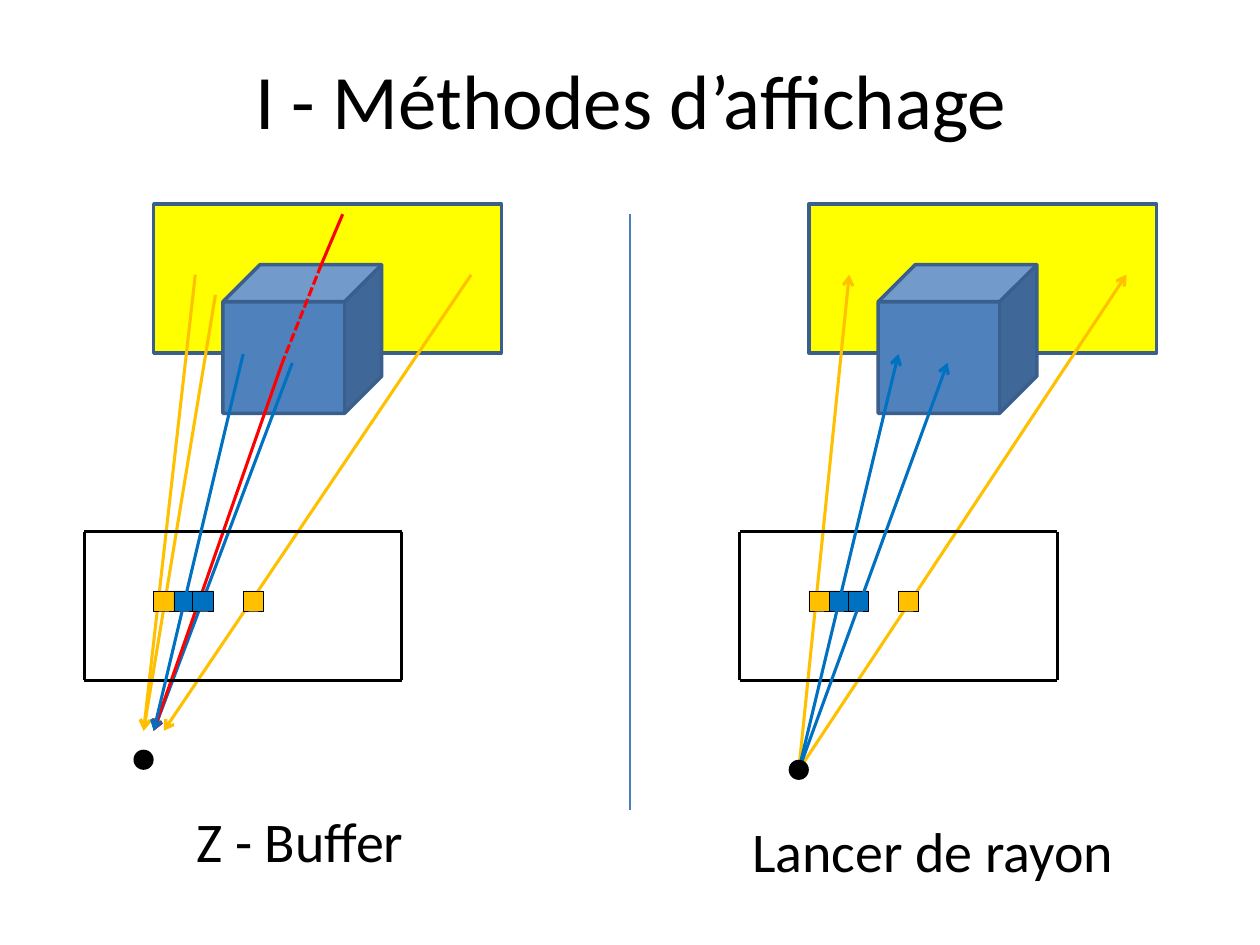
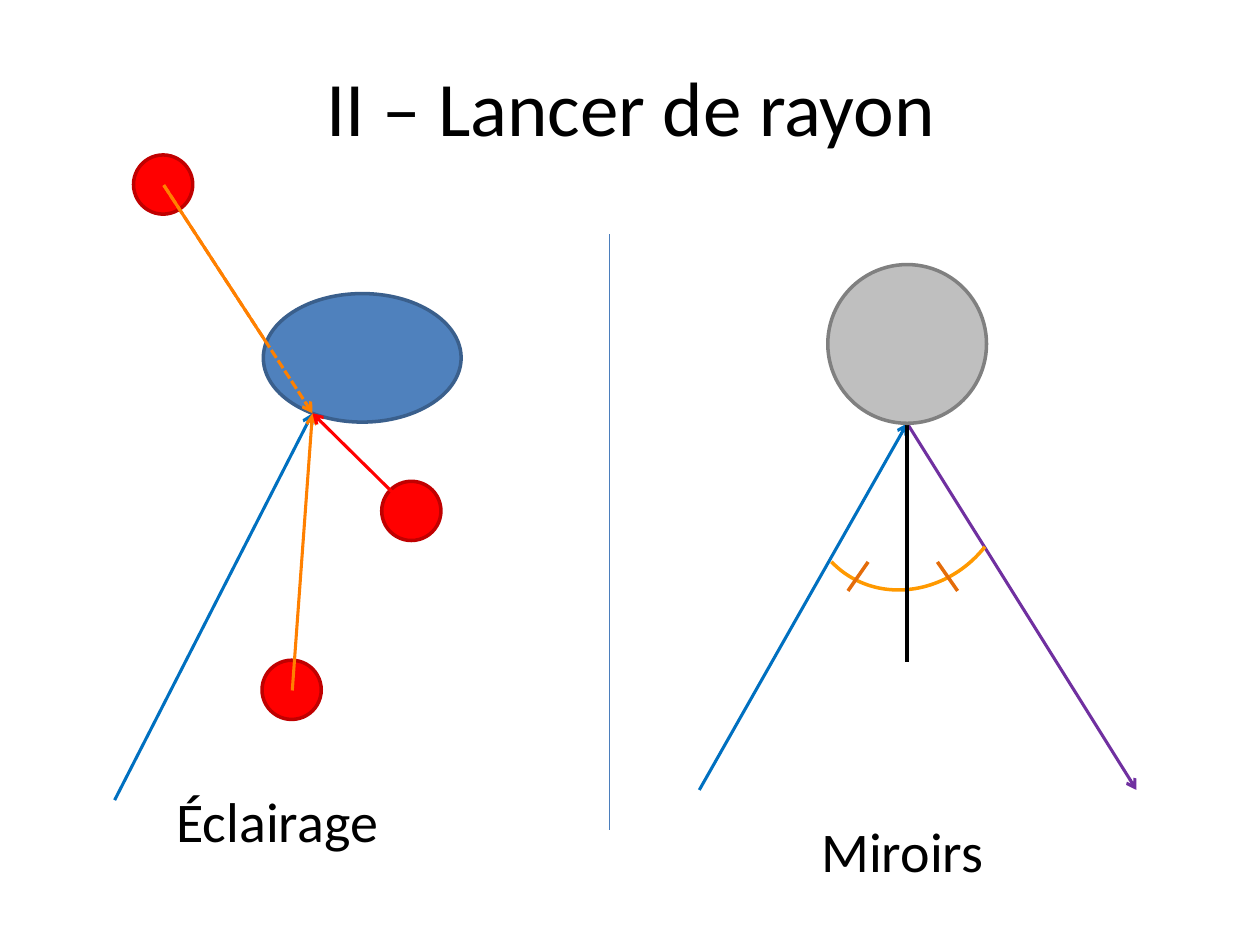
"""Build two slides on display methods and ray tracing."""
from lxml.etree import SubElement
from pptx import Presentation
from pptx.dml.color import RGBColor as RGB
from pptx.enum.dml import MSO_LINE as DASH
from pptx.enum.shapes import MSO_CONNECTOR as MC, MSO_SHAPE as MS
from pptx.enum.text import MSO_ANCHOR as ANCHOR, PP_ALIGN as ALIGN
from pptx.oxml.ns import qn
from pptx.util import Inches, Pt

T = dict(
    font="Calibri", title=Pt(44), label=Pt(32),
    ray=1.75, edge=2, hair=0.75, thin=0.25,
    black="000000", divider="4B7EBC", blue="4F81BD", navy="3A5F8C",
    yellow="FFFF00", gold="FFC000", azure="0070C0", red="FF0000",
    crimson="C00000", light="FF8000", purple="7030A0", arc="FF9900",
    tick="E46C0A", silver="BFBFBF", grey="808080",
)


def add_line(s, start, end, color, width=T["ray"], arrow=False, dash=None):
    c = s.shapes.add_connector(MC.STRAIGHT, *map(Inches, (*start, *end)))
    c.line.color.rgb = RGB.from_string(T[color])
    for key, value in dict(width=Pt(width), dash_style=dash).items():
        setattr(c.line, key, value)
    if arrow:
        SubElement(c.line._get_or_add_ln(), qn("a:tailEnd"), type="arrow")
    SubElement(c._element.spPr, qn("a:effectLst"))


def add_shape(s, kind, box, fill=None, line=None, width=T["edge"]):
    sp = s.shapes.add_shape(kind, *map(Inches, box))
    sp.shadow.inherit = False
    if fill:
        sp.fill.solid()
        sp.fill.fore_color.rgb = RGB.from_string(T[fill])
    else:
        sp.fill.background()
    if line:
        sp.line.color.rgb = RGB.from_string(T[line])
        sp.line.width = Pt(width)
    else:
        sp.line.fill.background()
    return sp


prs = Presentation()
for key, value in dict(slide_width=10, slide_height=7.5).items():
    setattr(prs, key, Inches(value))

pages = [
    ("I - Méthodes d’affichage", (0.51, 0.28, 9, 1.01), (5, 1.7),
     [("Z - Buffer", (1.46, 6.35, 2.13, 0.64)),
      ("Lancer de rayon", (5.87, 6.43, 3.15, 0.64))]),
    ("II – Lancer de rayon", (0.51, 0.21, 9, 1.25), (4.84, 1.86),
     [("Éclairage", (1.3, 6.19, 2.13, 0.64)),
      ("Miroirs", (6.42, 6.43, 2.13, 0.64))]),
]
slides = []
for title, title_box, (x, y), labels in pages:
    s = prs.slides.add_slide(prs.slide_layouts[6])
    slides.append(s)
    add_line(s, (x, y), (x, y + 4.73), "divider", T["hair"])
    texts = [(title, title_box, T["title"], ALIGN.CENTER, ANCHOR.MIDDLE)]
    texts += [(t, box, T["label"], ALIGN.LEFT, ANCHOR.TOP) for t, box in labels]
    for text, box, size, align, anchor in texts:
        tf = s.shapes.add_textbox(*map(Inches, box)).text_frame
        for key, value in dict(word_wrap=True, vertical_anchor=anchor).items():
            setattr(tf, key, value)
        p = tf.paragraphs[0]
        p.alignment = align
        r = p.add_run()
        r.text = text
        for key, value in dict(name=T["font"], size=size).items():
            setattr(r.font, key, value)
        r.font.color.rgb = RGB.from_string(T["black"])

s = slides[0]
buffer_eye, tracer_eye = (1.22, 5.8), (6.34, 6.11)
buffer_back = [
    ((1.71, 2.34), (1.14, 5.8), "gold", True, None),
    ((2.32, 2.88), buffer_eye, "azure", True, None),
    ((1.55, 2.18), (1.14, 5.8), "gold", True, None),
    ((3.74, 2.18), (1.3, 5.8), "gold", True, None),
    ((2.72, 1.7), (2.55, 2.1), "red", False, None),
    ((2.55, 2.1), (2.24, 2.88), "red", False, DASH.SQUARE_DOT),
    ((2.24, 2.88), buffer_eye, "red", True, None),
]
buffer_front = [((1.93, 2.81), buffer_eye, "azure", True, None)]
tracer_back, tracer_front = [
    [(tracer_eye, hit, color, True, None) for hit in hits]
    for color, hits in [("gold", [(6.74, 2.18), (8.94, 2.18)]),
                        ("azure", [(7.13, 2.81), (7.52, 2.88)])]
]
panels = [(0, buffer_back, buffer_front, (1.06, 5.95)),
          (5.2, tracer_back, tracer_front, (6.26, 6.03))]
for dx, back, front, eye in panels:
    add_shape(s, MS.RECTANGLE, (1.22 + dx, 1.62, 2.76, 1.18), "yellow", "navy")
    add_shape(s, MS.CUBE, (1.77 + dx, 2.1, 1.26, 1.18), "blue", "navy")
    for start, end, color, arrow, dash in back:
        add_line(s, start, end, color, arrow=arrow, dash=dash)
    left, right = 0.67 + dx, 3.19 + dx
    corners = [(left, 4.22), (right, 4.22), (right, 5.4), (left, 5.4)]
    for start, end in zip(corners, corners[1:] + corners[:1]):
        add_line(s, start, end, "black")
    for x, color in [(1.22, "gold"), (1.93, "gold"), (1.38, "azure"), (1.53, "azure")]:
        add_shape(s, MS.RECTANGLE, (x + dx, 4.69, 0.16, 0.16), color, "black", T["thin"])
    for start, end, color, arrow, dash in front:
        add_line(s, start, end, color, arrow=arrow, dash=dash)
    add_shape(s, MS.FLOWCHART_CONNECTOR, (*eye, 0.16, 0.16), "black")

s = slides[1]
hit = (2.48, 3.28)
lamps = [(3.27, 4.06), (2.32, 5.48), (1.3, 1.47)]
for x, y in lamps:
    add_shape(s, MS.FLOWCHART_CONNECTOR, (x - 0.24, y - 0.24, 0.47, 0.47), "red", "crimson")
add_line(s, lamps[2], hit, "light")
add_shape(s, MS.OVAL, (2.09, 2.33, 1.57, 1.02), "blue", "navy")
add_line(s, lamps[2], hit, "light", arrow=True, dash=DASH.SQUARE_DOT)
for start, color in [((0.91, 6.35), "azure"), (lamps[1], "light"), (lamps[0], "red")]:
    add_line(s, start, hit, color, arrow=True)

mirror_hit = (7.2, 3.36)
add_line(s, (5.55, 6.27), mirror_hit, "azure", arrow=True)
add_line(s, mirror_hit, (9.02, 6.27), "purple", arrow=True)
angle = add_shape(s, MS.ARC, (6.36, 3.1, 1.69, 1.54), line="arc")
angle.rotation = 132.3
for i, value in enumerate((159.1, 2.17)):
    angle.adjustments[i] = value
add_line(s, (7.2, 2.73), (7.2, 5.25), "black", T["edge"])
for top, bottom in [(6.89, 6.73), (7.44, 7.6)]:
    add_line(s, (top, 4.46), (bottom, 4.69), "tick", T["edge"])
add_shape(s, MS.OVAL, (6.57, 2.1, 1.26, 1.26), "silver", "grey")

prs.save("out.pptx")
